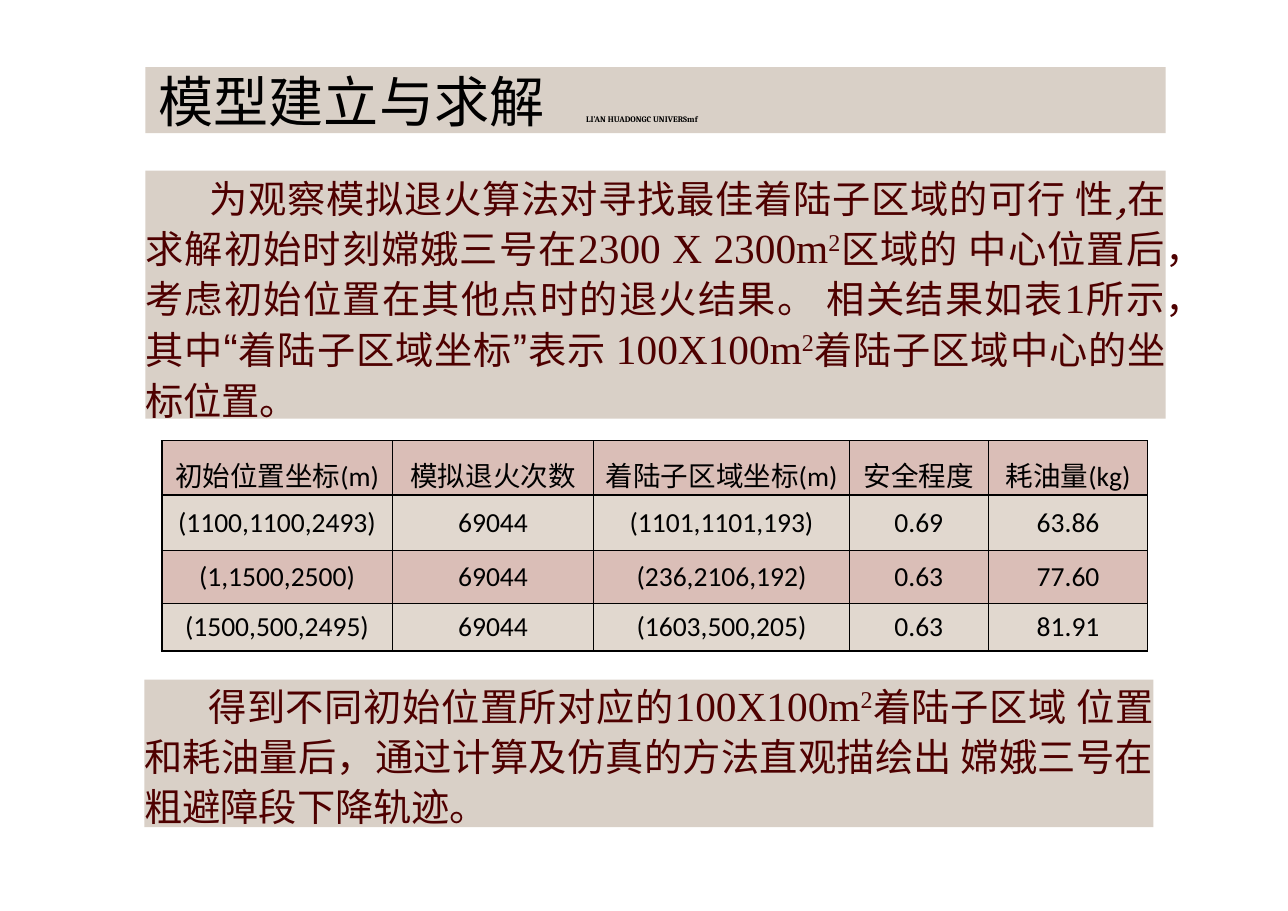
from lxml import etree
from pptx import Presentation
from pptx.dml.color import RGBColor
from pptx.enum.shapes import MSO_SHAPE
from pptx.enum.text import MSO_ANCHOR, MSO_AUTO_SIZE, PP_ALIGN
from pptx.oxml.ns import qn
from pptx.util import Inches, Pt

RECTANGLE = MSO_SHAPE.RECTANGLE
TOP, MIDDLE, BOTTOM = MSO_ANCHOR.TOP, MSO_ANCHOR.MIDDLE, MSO_ANCHOR.BOTTOM
LEFT, CENTER, JUSTIFY = PP_ALIGN.LEFT, PP_ALIGN.CENTER, PP_ALIGN.JUSTIFY
NO_AUTO_SIZE = MSO_AUTO_SIZE.NONE

COLORS = {"panel": "D9D0C7", "body": "4E0000", "black": "000000",
          "rose": "DABEB7", "sand": "E1D8CF"}
CJK, TIMES, CALIBRI = "Noto Sans CJK SC", "Times New Roman", "Calibri"

# Run styles: font, size, colour
STYLES = {
    "title": (CJK, 36, "black"),
    "label": ("Cambria", 5.5, "black"),
    "text": (CJK, 25, "body"),
    "comma": (CJK, 25, "body"),
    "latin": (TIMES, 27, "body"),
    "super": (TIMES, 27, "body"),
    "quote": ("Arial", 28, "body"),
    "header": (CJK, 18, "black"),
    "cell": (CALIBRI, 18, "black"),
}


def add_run(paragraph, text, style):
    name, size, color = STYLES[style]
    run = paragraph.add_run()
    run.text = text
    run.font.name = name
    run.font.size = Pt(size)
    run.font.color.rgb = RGBColor.from_string(COLORS[color])
    run.font.bold = style == "label"
    run.font.italic = style == "comma"
    properties = run.font._element
    etree.SubElement(properties, qn("a:ea"), typeface=name)
    if style == "super":
        properties.set("baseline", "30000")


def format_panel(shape, left, top, width, height, anchor):
    shape.left, shape.top = Inches(left), Inches(top)
    shape.width, shape.height = Inches(width), Inches(height)
    shape.fill.solid()
    shape.fill.fore_color.rgb = RGBColor.from_string(COLORS["panel"])
    shape.line.fill.background()
    frame = shape.text_frame
    frame.margin_left = frame.margin_top = frame.margin_right = frame.margin_bottom = 0
    frame.word_wrap = True
    frame.auto_size = NO_AUTO_SIZE
    frame.vertical_anchor = anchor
    return frame.paragraphs[0]


presentation = Presentation()
presentation.slide_width, presentation.slide_height = Inches(11.69), Inches(8.27)
slide = presentation.slides.add_slide(presentation.slide_layouts[5])

# Title bar, with a tab stop before the small label
paragraph = format_panel(slide.shapes.title, 1.32, 0.61, 9.26, 0.6, MIDDLE)
paragraph.alignment = LEFT
properties = paragraph._p.get_or_add_pPr()
properties.set("indent", str(Inches(0.12)))
tab_list = etree.SubElement(properties, qn("a:tabLst"))
etree.SubElement(tab_list, qn("a:tab"), pos=str(Inches(6.2)), algn="l")
add_run(paragraph, "模型建立与求解\t", "title")
add_run(paragraph, "LI'AN HUADONGC UNIVERSmf", "label")

# Text panels: place, line spacing, runs
panels = [
    ((1.32, 1.55, 9.26, 2.25), 33, [
        ("为观察模拟退火算法对寻找最佳着陆子区域的可行 性", "text"),
        (",", "comma"),
        ("在求解初始时刻嫦娥三号在", "text"),
        ("2300 X 2300m", "latin"),
        ("2", "super"),
        ("区域的 中心位置后，考虑初始位置在其他点时的退火结果。 相关结果如表", "text"),
        ("1", "latin"),
        ("所示，其中", "text"),
        ("“", "quote"),
        ("着陆子区域坐标", "text"),
        ("”", "quote"),
        ("表示 ", "text"),
        ("100X100m", "latin"),
        ("2", "super"),
        ("着陆子区域中心的坐标位置。", "text"),
    ]),
    ((1.31, 6.17, 9.16, 1.34), 32.6, [
        ("得到不同初始位置所对应的", "text"),
        ("100X100m", "latin"),
        ("2", "super"),
        ("着陆子区域 位置和耗油量后，通过计算及仿真的方法直观描绘出 "
         "嫦娥三号在粗避障段下降轨迹。", "text"),
    ]),
]
for place, spacing, runs in panels:
    shape = slide.shapes.add_shape(RECTANGLE, 0, 0, 0, 0)
    shape.shadow.inherit = False
    paragraph = format_panel(shape, *place, TOP)
    paragraph.alignment = JUSTIFY
    paragraph.line_spacing = Pt(spacing)
    paragraph._p.get_or_add_pPr().set("indent", str(Inches(0.58)))
    for text, style in runs:
        add_run(paragraph, text, style)

# Results table
headers = [("初始位置坐标", "(m)"), ("模拟退火次数", ""), ("着陆子区域坐标", "(m)"),
           ("安全程度", ""), ("耗油量", "(kg)")]
results = [
    ("(1100,1100,2493)", "69044", "(1101,1101,193)", "0.69", "63.86"),
    ("(1,1500,2500)", "69044", "(236,2106,192)", "0.63", "77.60"),
    ("(1500,500,2495)", "69044", "(1603,500,205)", "0.63", "81.91"),
]
column_widths = [2.09, 1.83, 2.32, 1.26, 1.45]
row_heights = [0.49, 0.51, 0.48, 0.43]
table = slide.shapes.add_table(4, 5, Inches(1.47), Inches(4), Inches(8.96), Inches(1.91)).table
for column, width in zip(table.columns, column_widths):
    column.width = Inches(width)
for row, height in zip(table.rows, row_heights):
    row.height = Inches(height)

for row_index, row in enumerate([headers] + results):
    for column_index, content in enumerate(row):
        cell = table.cell(row_index, column_index)
        cell.margin_left = cell.margin_top = cell.margin_right = cell.margin_bottom = 0
        cell.vertical_anchor = MIDDLE if row_index else BOTTOM
        cell.fill.solid()
        fill = "sand" if row_index % 2 else "rose"
        cell.fill.fore_color.rgb = RGBColor.from_string(COLORS[fill])
        paragraph = cell.text_frame.paragraphs[0]
        paragraph.alignment = CENTER
        if row_index:
            add_run(paragraph, content, "cell")
        else:
            name, unit = content
            add_run(paragraph, name, "header")
            if unit:
                add_run(paragraph, unit, "cell")

        # Borders: heavier at the left edge, under the header and at the bottom
        borders = {"a:lnL": 1.5 if column_index == 0 else 0.75,
                   "a:lnR": 0.75,
                   "a:lnT": 1.5 if row_index == 1 else 0.75,
                   "a:lnB": 1.5 if row_index in (0, 3) else 0.75}
        for position, (tag, weight) in enumerate(borders.items()):
            border = etree.Element(qn(tag), w=str(Pt(weight)))
            solid = etree.SubElement(border, qn("a:solidFill"))
            etree.SubElement(solid, qn("a:srgbClr"), val=COLORS["black"])
            cell._tc.get_or_add_tcPr().insert(position, border)

presentation.save("out.pptx")
